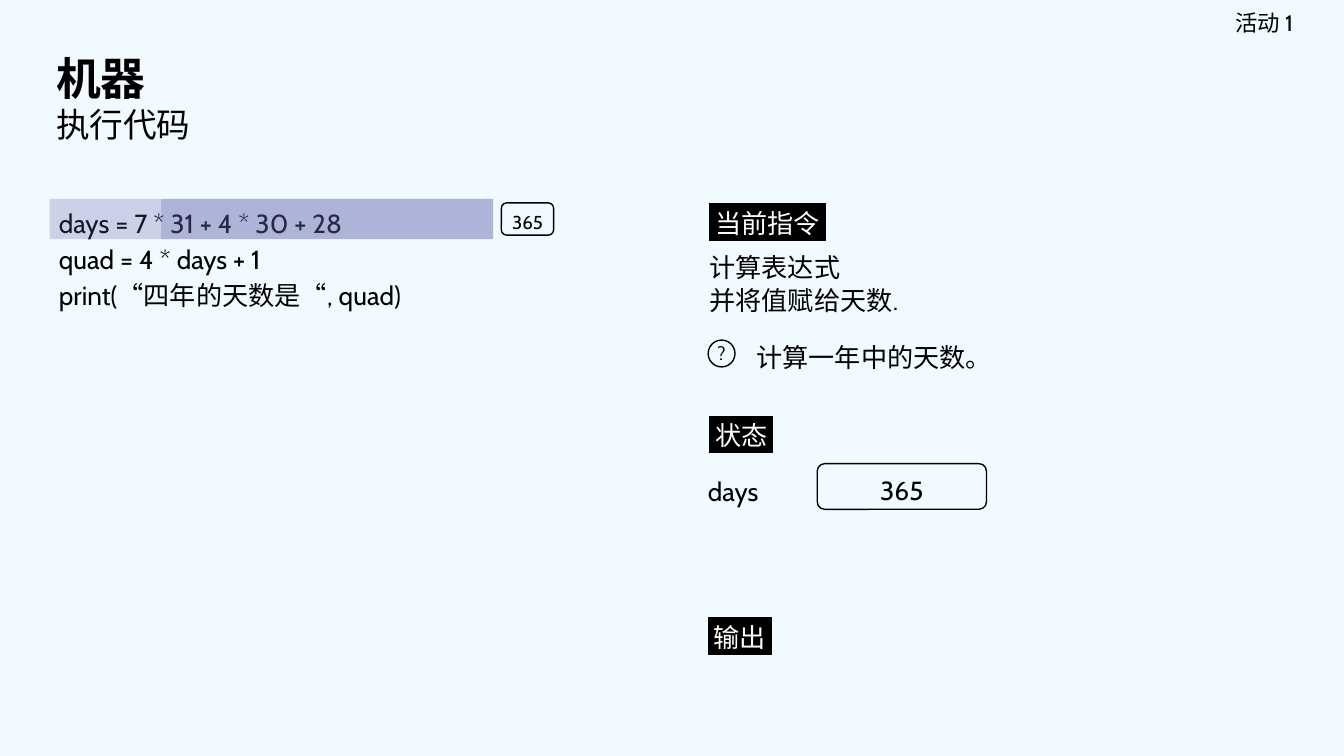
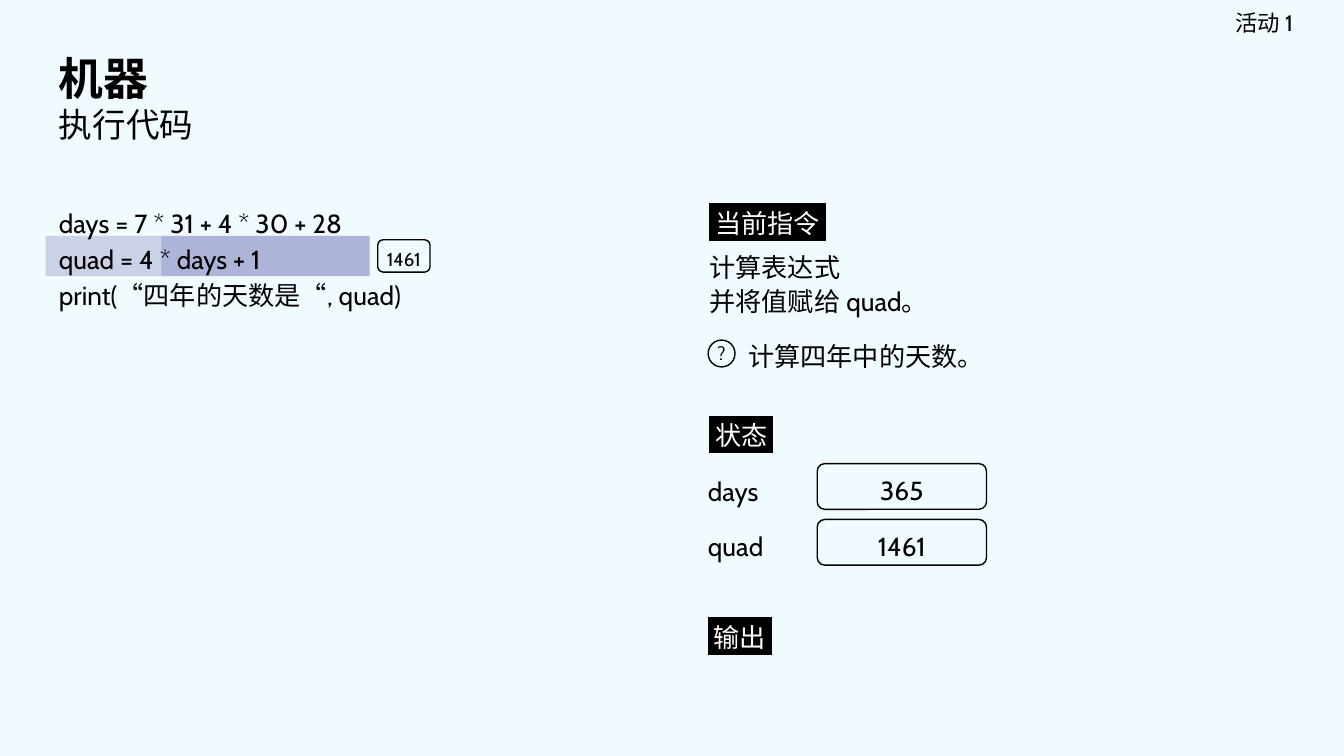
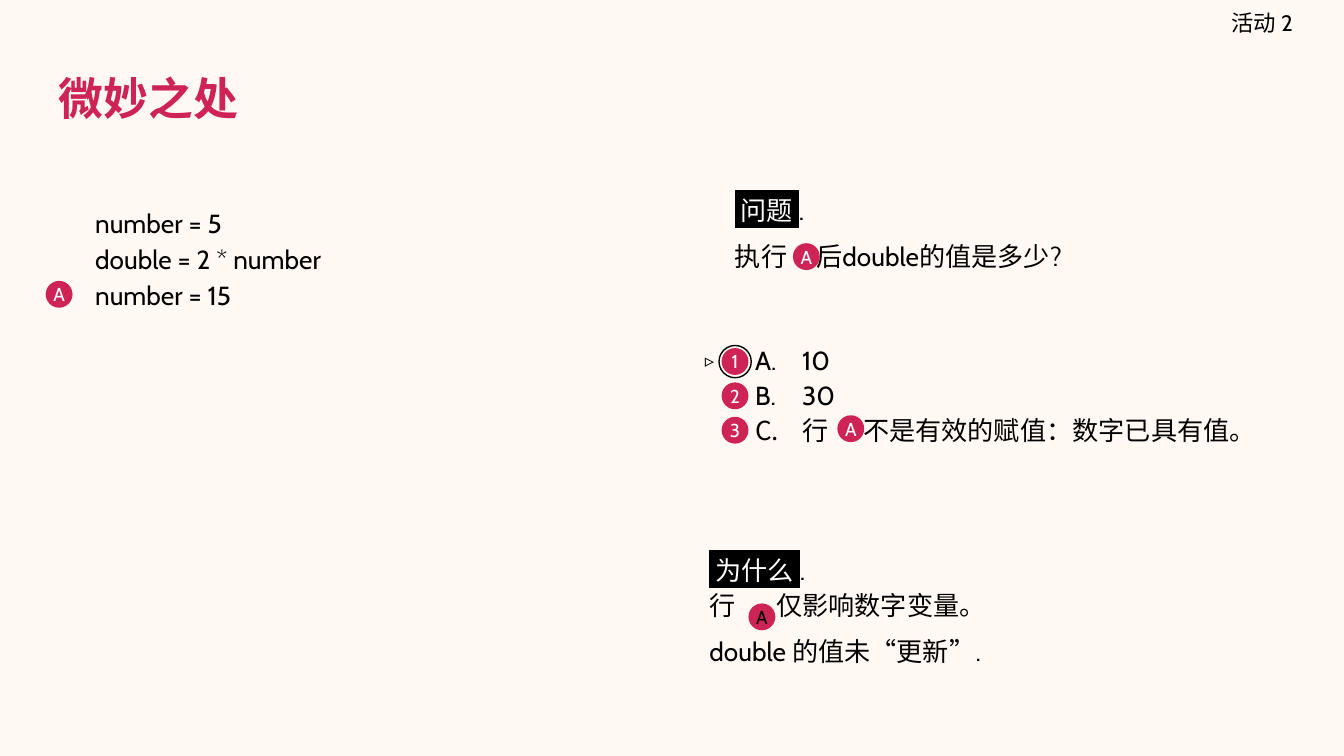
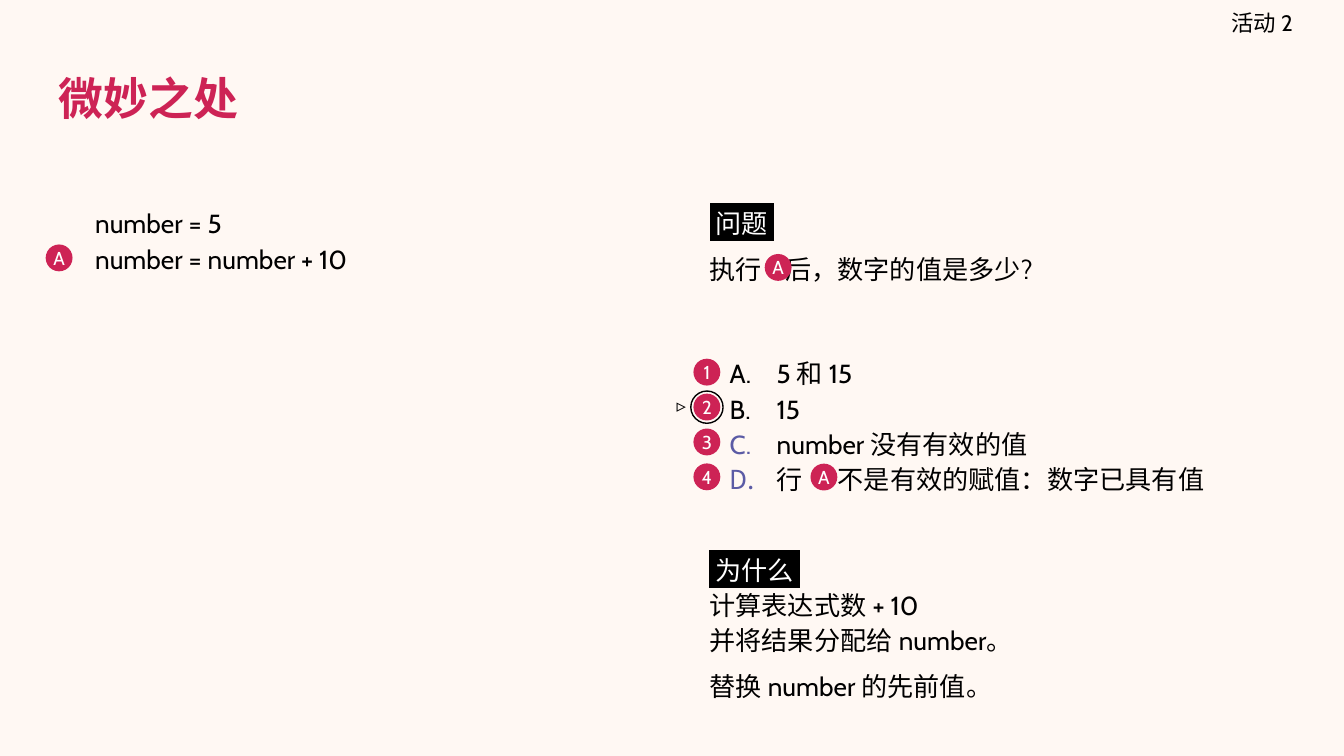
import dataclasses

import pptx
import pptx.dml.color
import pptx.enum.shapes
import pptx.enum.text
import pptx.oxml
import pptx.oxml.ns
import pptx.util

Pt = pptx.util.Pt
Shape = pptx.enum.shapes.MSO_SHAPE
Align = pptx.enum.text.PP_ALIGN
Anchor = pptx.enum.text.MSO_ANCHOR


@dataclasses.dataclass(frozen=True)
class Theme:
    font: str = "Cabin"
    black: str = "000000"
    white: str = "FFFFFF"
    indigo: str = "5B5BA5"
    crimson: str = "CD2355"
    machine_page: str = "F1FAFF"
    quiz_page: str = "FFF8F3"
    title: int = 24
    subtitle: int = 18
    body: int = 14
    header: int = 12
    small: int = 10
    outline: float = 0.75
    badge: float = 14.4
    ring: float = 17.3


THEME = Theme()
MARGIN = 24.5
SIDE = 373
SIDE_WIDTH = 321.8
CODE_TOP = 101.5
INSETS = (7.2, 7.2, 7.2, 7.2)
SIDE_INSETS = (7.2, 7.2, 4.3, 7.2)


@dataclasses.dataclass(frozen=True)
class Label:
    text: str


@dataclasses.dataclass(frozen=True)
class Gap:
    extra: float


@dataclasses.dataclass(frozen=True)
class Line:
    content: tuple
    size: int = THEME.body
    color: str = THEME.black
    bold: bool = False
    spacing: float = 1.0
    before: float = 0
    align: Align = Align.LEFT
    bullet: str = ""


def rgb(value):
    return pptx.dml.color.RGBColor.from_string(value)


def add_child(parent, tag, **attributes):
    child = pptx.oxml.parse_xml(f"<a:{tag} {pptx.oxml.ns.nsdecls('a')}/>")
    for name, value in attributes.items():
        child.set(name, value)
    parent.append(child)
    return child


def add_span(para, piece):
    span = para.add_run()
    if isinstance(piece, Label):
        span.text = f" {piece.text} "
        span.font.color.rgb = rgb(THEME.white)
        highlight = add_child(span.font._element, "highlight")
        add_child(highlight, "srgbClr", val=THEME.black)
    elif isinstance(piece, Gap):
        span.text = " "
        span.font._element.set("spc", str(round(piece.extra * 100)))
    else:
        span.text = piece


def add_letter_bullet(para, color):
    properties = para._p.get_or_add_pPr()
    properties.set("marL", str(Pt(36)))
    properties.set("indent", str(Pt(-25.2)))
    add_child(add_child(properties, "buClr"), "srgbClr", val=color)
    add_child(properties, "buAutoNum", type="alphaUcPeriod")


def write(shape, lines, insets=INSETS, anchor=Anchor.TOP):
    frame = shape.text_frame
    frame.word_wrap = True
    frame.vertical_anchor = anchor
    (frame.margin_left, frame.margin_top,
     frame.margin_right, frame.margin_bottom) = map(Pt, insets)
    for index, line in enumerate(lines):
        para = frame.add_paragraph() if index else frame.paragraphs[0]
        if line.bullet:
            add_letter_bullet(para, line.bullet)
        para.alignment = line.align
        para.line_spacing = line.spacing
        para.space_before = Pt(line.before)
        para.font.name = THEME.font
        para.font.size = Pt(line.size)
        para.font.bold = line.bold
        para.font.color.rgb = rgb(line.color)
        for piece in line.content:
            add_span(para, piece)


def add_text(page, area, lines, insets=INSETS, anchor=Anchor.TOP):
    box = page.shapes.add_textbox(*map(Pt, area))
    write(box, lines, insets, anchor)


def add_side_text(page, left, top, lines, width=SIDE_WIDTH, height=28.8):
    add_text(page, (left, top, width, height), lines, SIDE_INSETS)


def add_figure(page, kind, area, fill=None, outlined=False):
    shape = page.shapes.add_shape(kind, *map(Pt, area))
    shape.shadow.inherit = False
    if fill:
        shape.fill.solid()
        shape.fill.fore_color.rgb = rgb(fill)
    else:
        shape.fill.background()
    if outlined:
        shape.line.color.rgb = rgb(THEME.black)
        shape.line.width = Pt(THEME.outline)
    else:
        shape.line.fill.background()
    return shape


def add_disc(page, left, top, text="", size=THEME.badge, fill=None,
             color=THEME.black, outlined=False):
    disc = add_figure(page, Shape.OVAL, (left, top, size, size), fill, outlined)
    if text:
        line = Line((text,), THEME.small, color, align=Align.CENTER)
        write(disc, [line], (0, 0, 0, 0), Anchor.MIDDLE)


def add_badge(page, left, top, text, color=THEME.white):
    add_disc(page, left, top, text, fill=THEME.crimson, color=color)


def add_value(page, area, value, size, side_inset):
    box = add_figure(page, Shape.ROUNDED_RECTANGLE, area, outlined=True)
    line = Line((value,), size, spacing=1.15, align=Align.CENTER)
    write(box, [line], (side_inset, 1.4, side_inset, 0), Anchor.MIDDLE)


def add_highlight(page, left, top, right):
    band = add_figure(page, Shape.RECTANGLE, (left, top, right - left, 21.6),
                      THEME.indigo)
    color = band._element.spPr.find(".//" + pptx.oxml.ns.qn("a:srgbClr"))
    add_child(color, "alpha", val="25000")


def add_code(page, left, code):
    lines = [Line((text,), spacing=1.15) for text in code]
    add_text(page, (left, CODE_TOP, SIDE - left, 24 * len(code)), lines)


def add_section(page, left, top, title):
    add_side_text(page, left, top, [Line((Label(title),), spacing=1.14)])


def add_page(deck, background, header, title_lines, title_left=MARGIN):
    page = deck.slides.add_slide(deck.slide_layouts[6])
    page.background.fill.solid()
    page.background.fill.fore_color.rgb = rgb(background)
    add_text(page, (538.6, 0, 154, 24.5),
             [Line((header,), THEME.header, align=Align.RIGHT)],
             (7.2, 7.2, 0, 7.2), Anchor.MIDDLE)
    add_text(page, (title_left, MARGIN, 671, 55.4), title_lines,
             anchor=Anchor.MIDDLE)
    return page


def add_variables(page, variables):
    for index, (name, value) in enumerate(variables):
        top = 244.8 + index * 29.9
        add_text(page, (372.2, top, 108, 28.8), [Line((name,), spacing=1.15)])
        add_value(page, (437.8, top + 3.6, 90.7, 24.5), value, THEME.body, 7.2)


def add_machine_page(deck, title_left, band, result, code_on_top, action,
                     action_top, purpose, purpose_at, variables):
    page = add_page(deck, THEME.machine_page, "活动 1",
                    [Line(("机器",), THEME.title, bold=True),
                     Line(("执行代码",), THEME.subtitle)], title_left)
    code = ("days = 7 * 31 + 4 * 30 + 28",
            "quad = 4 * days + 1",
            "print(“四年的天数是“, quad)")
    left, top, right = band
    if not code_on_top:
        add_code(page, MARGIN, code)
    for start in (left, 86.4):
        add_highlight(page, start, top, right)
    if code_on_top:
        add_code(page, MARGIN, code)
    add_value(page, (right + 4.4, top + 2.1, 28, 17.3), result, THEME.small, 0)

    add_section(page, SIDE, CODE_TOP, "当前指令")
    add_section(page, SIDE, 215.3, "状态")
    add_section(page, 372.2, 323.3, "输出")
    for text, text_left, text_top in (("计算表达式", SIDE, 125.3),
                                      (action, SIDE, action_top),
                                      (purpose, *purpose_at)):
        add_side_text(page, text_left, text_top, [Line((text,), spacing=1.14)])
    add_disc(page, 379.4, 182.2, "?", outlined=True)
    add_variables(page, variables)


def add_choices(page, left, top, step, count, correct):
    correct_top = top + (correct - 1) * step
    ring_left, ring_top = left - 1.4, correct_top - 1.4
    add_disc(page, ring_left, ring_top, size=THEME.ring, outlined=True)
    add_disc(page, ring_left - 13.7, ring_top - 1, "▹", size=THEME.ring)
    for index in range(count):
        add_badge(page, left, top + index * step, str(index + 1))


def add_quiz_page(deck, code, marker_top, question_at, heading, question,
                  options, choices, question_badges, reason):
    page = add_page(deck, THEME.quiz_page, "活动 2",
                    [Line(("微妙之处",), THEME.title, THEME.crimson, True)])
    add_code(page, 43.9, code)
    add_badge(page, MARGIN, marker_top, "A")
    lines = [Line(heading, spacing=1.14),
             Line(question, spacing=1.12, before=6)]
    for index, (content, bullet) in enumerate(options):
        lines.append(Line(content, spacing=1.12, before=0 if index else 37,
                          bullet=bullet))
    left, top = question_at
    add_side_text(page, left, top, lines, 695.5 - left, 170)
    add_choices(page, count=len(options), **choices)
    for badge_left, badge_top in question_badges:
        add_badge(page, badge_left, badge_top, "A")
    why_lines = [Line(reason[0], spacing=1.14)]
    why_lines += [Line(content, spacing=1.12) for content in reason[1:-1]]
    why_lines.append(Line(reason[-1], spacing=1.12, before=6))
    add_side_text(page, SIDE, 287.3, why_lines, height=24 * len(reason))
    return page


def main():
    deck = pptx.Presentation()
    deck.slide_width, deck.slide_height = Pt(720), Pt(405)

    add_machine_page(
        deck, title_left=23, band=(26.6, 106.6, 264.2), result="365",
        code_on_top=False, action="并将值赋给天数.", action_top=142.6,
        purpose="计算一年中的天数。", purpose_at=(398.2, 173.5),
        variables=[("days", "365")])
    add_machine_page(
        deck, title_left=MARGIN, band=(24.5, 126.4, 198), result="1461",
        code_on_top=True, action="并将值赋给 quad。", action_top=143.3,
        purpose="计算四年中的天数。", purpose_at=(393.8, 172.8),
        variables=[("days", "365"), ("quad", "1461")])

    page = add_quiz_page(
        deck, code=("number = 5", "double = 2 * number", "number = 15"),
        marker_top=150.5, question_at=(386.6, 94.3),
        heading=(Label("问题"), "."),
        question=("执行", Gap(12.4), "后double的值是多少?"),
        options=[(("10",), THEME.black),
                 (("30",), THEME.black),
                 (("行", Gap(15.5), "不是有效的赋值：数字已具有值。"),
                  THEME.black)],
        choices={"left": 386.6, "top": 186.5, "step": 18.4, "correct": 1},
        question_badges=[(424.8, 130.3), (448.6, 222.5)],
        reason=[(Label("为什么"), "."),
                ("行", Gap(18.6), "仅影响数字变量。"),
                ("double 的值未“更新”.",)])
    add_badge(page, 401, 323.3, "A", THEME.black)

    add_quiz_page(
        deck, code=("number = 5", "number = number + 10"),
        marker_top=131, question_at=(SIDE, CODE_TOP),
        heading=(Label("问题"),),
        question=("执行", Gap(9.3), "后，数字的值是多少?"),
        options=[(("5 和 15",), THEME.black),
                 (("15",), THEME.black),
                 (("number 没有有效的值",), THEME.indigo),
                 (("行", Gap(15.5), "不是有效的赋值：数字已具有值"),
                  THEME.indigo)],
        choices={"left": 371.5, "top": 192.2, "step": 18.7, "correct": 2},
        question_badges=[(409.7, 136.1), (434.2, 248.4)],
        reason=[(Label("为什么"),),
                ("计算表达式数 + 10",),
                ("并将结果分配给 number。",),
                ("替换 number 的先前值。",)])

    deck.save("out.pptx")


if __name__ == "__main__":
    main()
